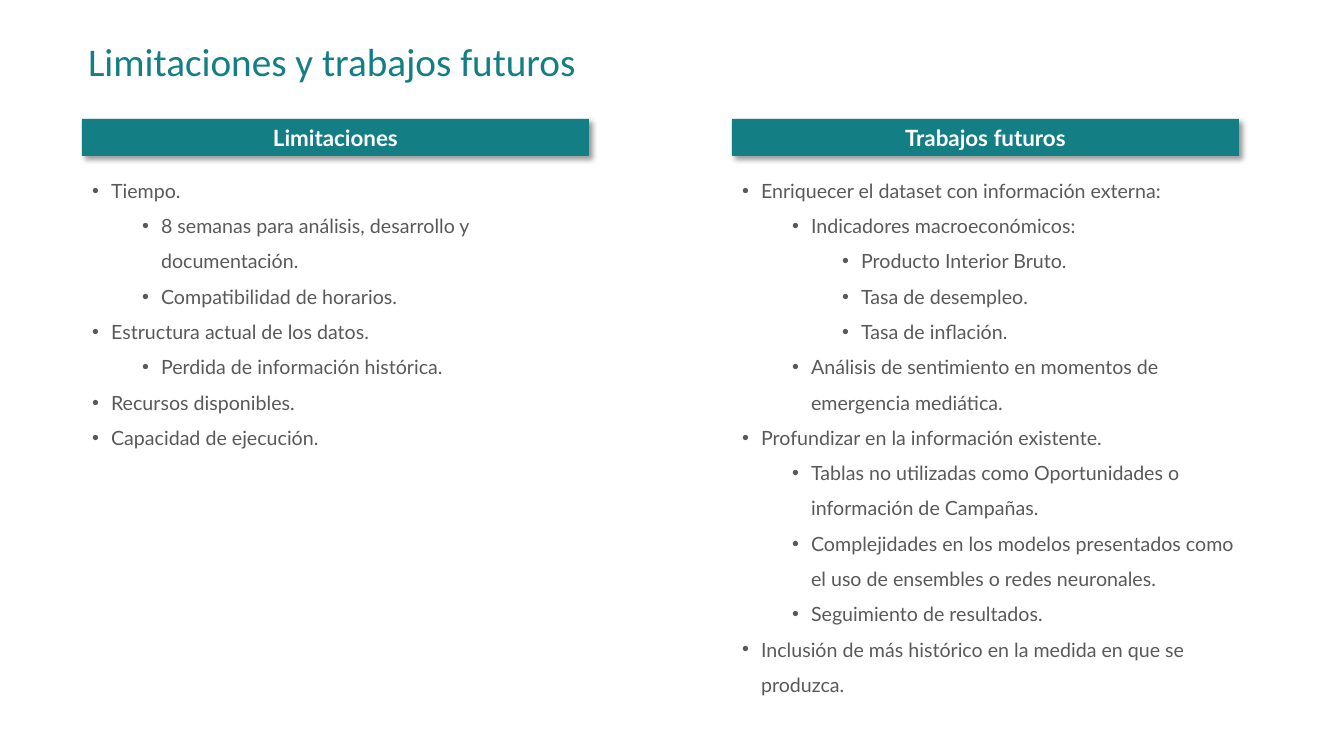
import pptx
import pptx.util
import pptx.dml.color
import pptx.enum.shapes
import pptx.enum.text
import pptx.oxml
import pptx.oxml.ns

PX = 914400 / 100.8
COLORS = {"teal": "137E84", "text": "595959", "white": "FFFFFF", "shadow": "000000"}
BULLET_INDENT = 19
LEVEL_STEP = 50
BAR_TOP, BAR_WIDTH, BAR_HEIGHT = 119, 507, 37
LIST_TOP = 162

COLUMNS = [
    (82, 507, 301, "Limitaciones", [
        (0, "Tiempo."),
        (1, "8 semanas para análisis, desarrollo y documentación."),
        (1, "Compatibilidad de horarios."),
        (0, "Estructura actual de los datos."),
        (1, "Perdida de información histórica."),
        (0, "Recursos disponibles."),
        (0, "Capacidad de ejecución."),
    ]),
    (732, 518, 542, "Trabajos futuros", [
        (0, "Enriquecer el dataset con información externa:"),
        (1, "Indicadores macroeconómicos:"),
        (2, "Producto Interior Bruto."),
        (2, "Tasa de desempleo."),
        (2, "Tasa de inflación."),
        (1, "Análisis de sentimiento en momentos de emergencia mediática."),
        (0, "Profundizar en la información existente."),
        (1, "Tablas no utilizadas como Oportunidades o información de Campañas."),
        (1, "Complejidades en los modelos presentados como el uso de ensembles o redes neuronales."),
        (1, "Seguimiento de resultados."),
        (0, "Inclusión de más histórico en la medida en que se produzca."),
    ]),
]


def place(box, left, top, width, height, anchor):
    box.left, box.top, box.width, box.height = (
        round(value * PX) for value in (left, top, width, height))
    frame = box.text_frame
    frame.word_wrap = True
    frame.auto_size = pptx.enum.text.MSO_AUTO_SIZE.NONE
    frame.vertical_anchor = anchor
    return frame


def write(para, text, font, size, color, bold=False):
    span = para.add_run()
    span.text = text
    span.font.name = font
    span.font.size = pptx.util.Pt(size)
    span.font.bold = bold
    span.font.color.rgb = pptx.dml.color.RGBColor.from_string(COLORS[color])


ANCHOR = pptx.enum.text.MSO_ANCHOR
ALIGN = pptx.enum.text.PP_ALIGN

deck = pptx.Presentation()
deck.slide_width, deck.slide_height = round(1344 * PX), round(756 * PX)
page = deck.slides.add_slide(deck.slide_layouts.get_by_name("Two Content"))
title, *lists = page.placeholders

para = place(title, 78, 38, 1186, 33, ANCHOR.TOP).paragraphs[0]
para.alignment = ALIGN.LEFT
para.line_spacing = 0.9
para.space_before = pptx.util.Pt(10)
write(para, "Limitaciones y trabajos futuros", "Calibri", 28, "teal")

for body, (left, width, height, heading, items) in zip(lists, COLUMNS):
    bar = page.shapes.add_shape(pptx.enum.shapes.MSO_SHAPE.RECTANGLE, 0, 0, 0, 0)
    frame = place(bar, left, BAR_TOP, BAR_WIDTH, BAR_HEIGHT, ANCHOR.MIDDLE)
    bar.fill.solid()
    bar.fill.fore_color.rgb = pptx.dml.color.RGBColor.from_string(COLORS["teal"])
    bar.line.fill.background()
    bar.shadow.inherit = False
    effects = bar.element.spPr.find(pptx.oxml.ns.qn("a:effectLst"))
    effects.append(pptx.oxml.parse_xml(
        f'<a:outerShdw {pptx.oxml.ns.nsdecls("a")} blurRad="50800" dist="38100" '
        f'dir="2700000" algn="tl" rotWithShape="0"><a:srgbClr val="{COLORS["shadow"]}">'
        '<a:alpha val="40000"/></a:srgbClr></a:outerShdw>'))
    para = frame.paragraphs[0]
    para.alignment = ALIGN.CENTER
    write(para, heading, "Lato", 16, "white", bold=True)

    frame = place(body, left, LIST_TOP, width, height, ANCHOR.TOP)
    for index, (level, text) in enumerate(items):
        para = frame.add_paragraph() if index else frame.paragraphs[0]
        para.level = level
        para.alignment = ALIGN.LEFT
        para.line_spacing = 1.5
        para.space_before = pptx.util.Pt(0)
        write(para, text, "Lato", 14, "text")
        properties = para._p.get_or_add_pPr()
        properties.set("marL", str(round((BULLET_INDENT + level * LEVEL_STEP) * PX)))
        properties.set("indent", str(round(-BULLET_INDENT * PX)))
        for tag in ('buFont {} typeface="Arial"', 'buChar {} char="•"'):
            properties.append(pptx.oxml.parse_xml(
                f'<a:{tag.format(pptx.oxml.ns.nsdecls("a"))}/>'))

deck.save("out.pptx")
